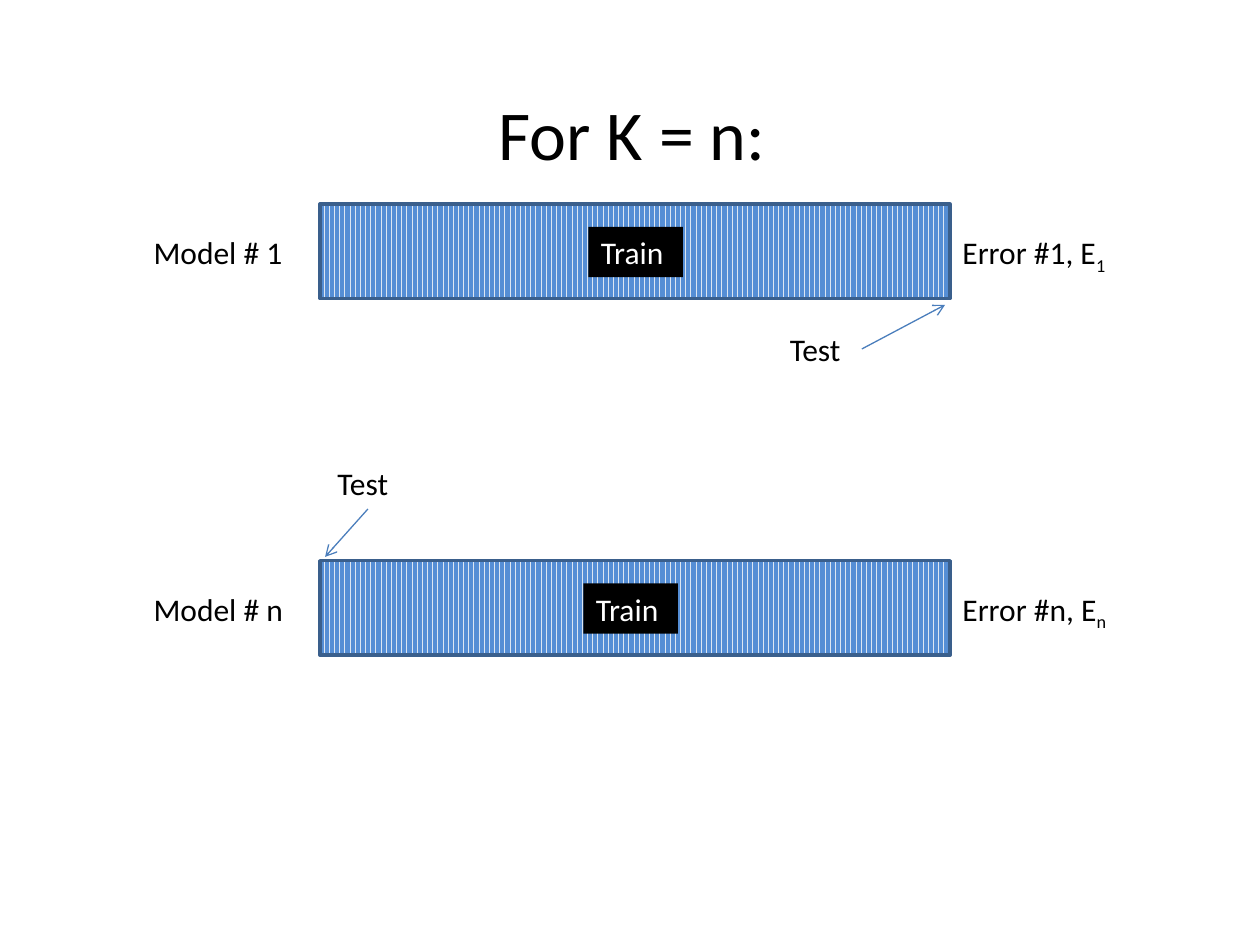
from dataclasses import dataclass

from lxml.etree import SubElement
from pptx import Presentation
from pptx.dml.color import RGBColor as RGB
from pptx.enum.dml import MSO_PATTERN
from pptx.enum.shapes import MSO_CONNECTOR, MSO_SHAPE
from pptx.enum.text import MSO_AUTO_SIZE, PP_ALIGN
from pptx.oxml.ns import qn
from pptx.util import Inches, Pt


@dataclass(frozen=True)
class Theme:
    font: str = "Calibri"
    title: int = 40
    body: int = 18
    text: RGB = RGB(0x00, 0x00, 0x00)
    paper: RGB = RGB(0xFF, 0xFF, 0xFF)
    stripe: RGB = RGB(0x55, 0x8E, 0xD5)
    stripe_gap: RGB = RGB(0xDC, 0xE6, 0xF2)
    bar_line: RGB = RGB(0x3A, 0x5F, 0x8C)
    arrow: RGB = RGB(0x4B, 0x7E, 0xBC)


THEME = Theme()

# Columns and row sizes, in inches
MODEL_X, MODEL_W = 1.12, 1.42
BAR_X, BAR_W, BAR_H = MODEL_X + MODEL_W, 5, 0.75
ERROR_X, ERROR_W = BAR_X + BAR_W, 1.74
LABEL_H, LABEL_DROP = 0.4, 0.18
TEST_W, TRAIN_W = 0.67, 0.75


def add_label(s, text, x, y, w, h=LABEL_H, size=THEME.body, color=THEME.text,
              align=PP_ALIGN.LEFT, fill=None, subscript=None):
    sp = s.shapes.add_textbox(Inches(x), Inches(y), Inches(w), Inches(h))
    if fill is not None:
        sp.fill.solid()
        sp.fill.fore_color.rgb = fill
    tf = sp.text_frame
    tf.word_wrap = True
    tf.auto_size = MSO_AUTO_SIZE.SHAPE_TO_FIT_TEXT
    p = tf.paragraphs[0]
    p.alignment = align
    p.font.name, p.font.size = THEME.font, Pt(size)
    p.font.color.rgb = color
    p.add_run().text = text
    if subscript:
        r = p.add_run()
        r.text = subscript
        r.font._element.set("baseline", "-25000")


def add_striped_bar(s, y):
    sp = s.shapes.add_shape(MSO_SHAPE.RECTANGLE, Inches(BAR_X), Inches(y),
                            Inches(BAR_W), Inches(BAR_H))
    sp.shadow.inherit = False
    sp.fill.patterned()
    sp.fill.pattern = MSO_PATTERN.DARK_VERTICAL
    sp.fill.fore_color.rgb = THEME.stripe
    sp.fill.back_color.rgb = THEME.stripe_gap
    sp.line.color.rgb = THEME.bar_line
    sp.line.width = Pt(2)


def add_arrow(s, start, end):
    c = s.shapes.add_connector(MSO_CONNECTOR.STRAIGHT,
                               *(Inches(v) for v in (*start, *end)))
    c.line.color.rgb = THEME.arrow
    c.line.width = Pt(0.75)
    SubElement(c.line._get_or_add_ln(), qn("a:tailEnd"), type="arrow")
    SubElement(c._element.spPr, qn("a:effectLst"))


def add_fold(s, name, y, train_x):
    """One model's row: its name, the training bar and its error."""
    label_y = y + LABEL_DROP
    add_label(s, f"Model # {name}", MODEL_X, label_y, MODEL_W)
    add_striped_bar(s, y)
    add_label(s, "Train", train_x, label_y, TRAIN_W,
              color=THEME.paper, fill=THEME.text)
    add_label(s, f"Error #{name}, E", ERROR_X, label_y, ERROR_W, subscript=name)


def add_test_pointer(s, x, y, start, end):
    add_label(s, "Test", x, y, TEST_W)
    add_arrow(s, start, end)


def main():
    prs = Presentation()
    prs.slide_width, prs.slide_height = Inches(10), Inches(7.5)
    s = prs.slides.add_slide(prs.slide_layouts[6])

    add_label(s, "For K = n:", 2.52, 0.67, 4.99, 0.77,
              size=THEME.title, align=PP_ALIGN.CENTER)
    for name, y, train_x in (("1", 1.62, 4.67), ("n", 4.45, 4.63)):
        add_fold(s, name, y, train_x)
    add_test_pointer(s, 6.17, 2.57, start=(6.84, 2.77), end=(7.5, 2.42))
    add_test_pointer(s, 2.58, 3.63, start=(2.92, 4.04), end=(2.58, 4.42))

    prs.save("out.pptx")


if __name__ == "__main__":
    main()
